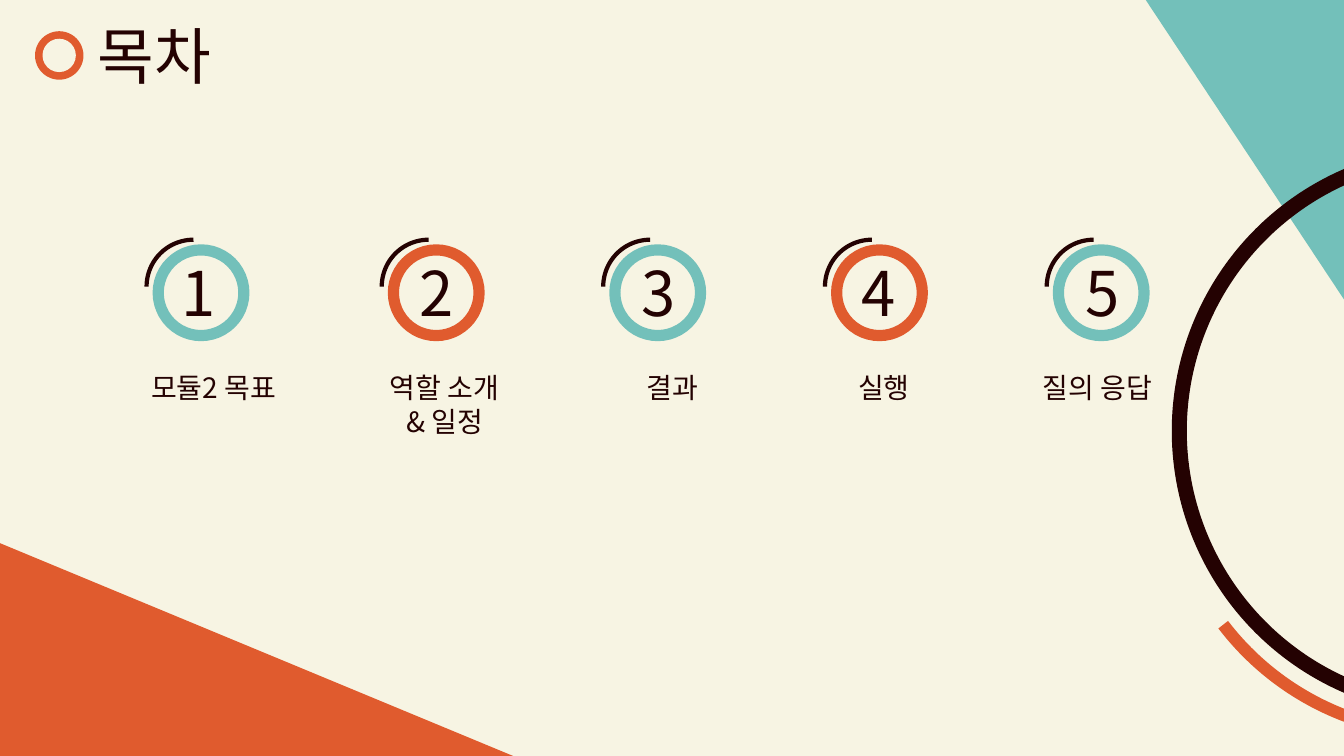
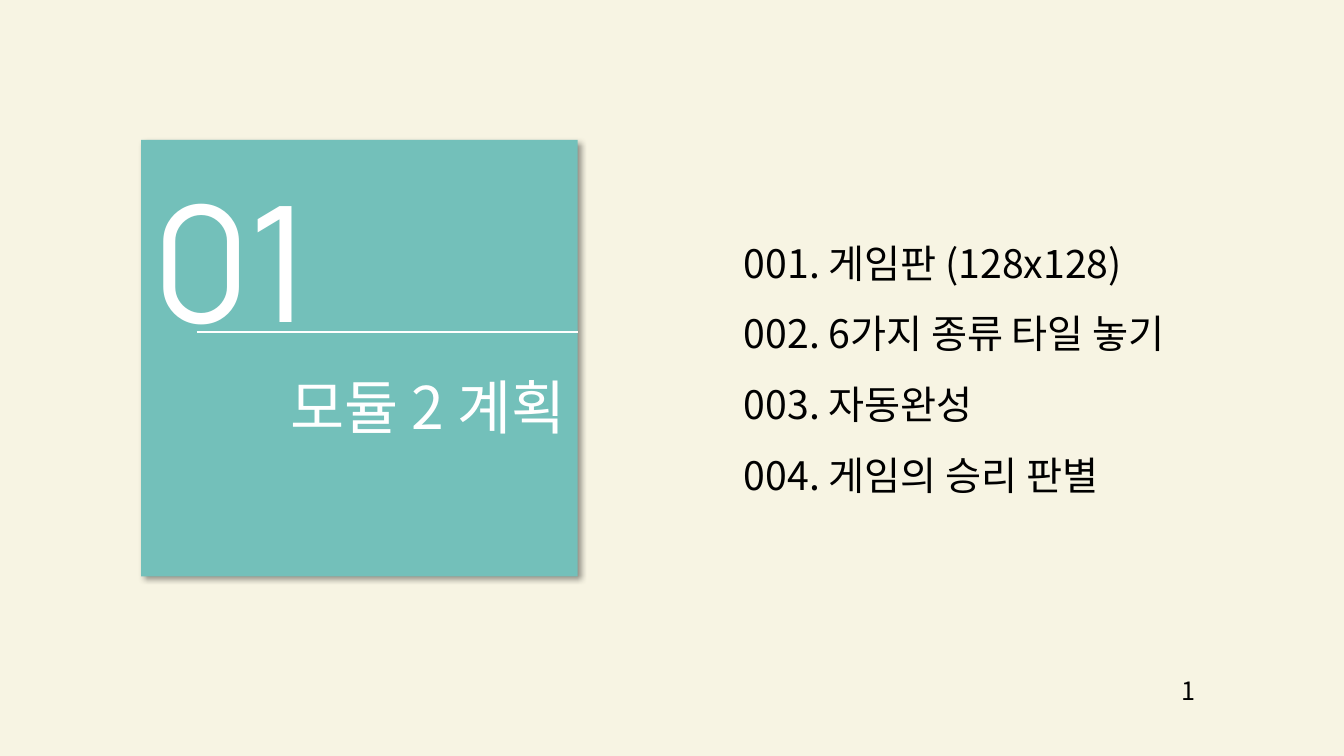
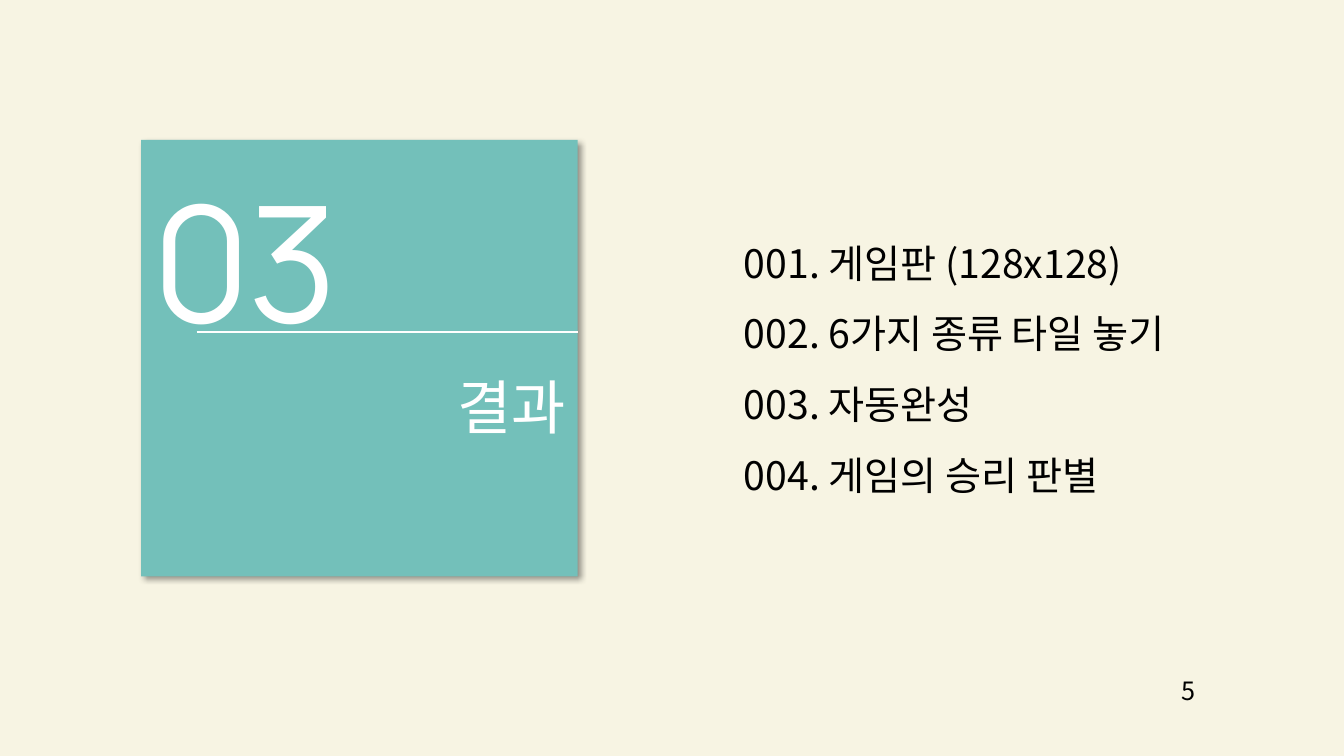
from dataclasses import dataclass

from lxml.etree import SubElement
from pptx import Presentation
from pptx.dml.color import RGBColor
from pptx.enum.shapes import MSO_AUTO_SHAPE_TYPE as Preset, MSO_CONNECTOR as Connector
from pptx.enum.text import PP_ALIGN as Align
from pptx.oxml import parse_xml
from pptx.oxml.ns import nsdecls, qn
from pptx.shapes.autoshape import Shape
from pptx.slide import Slide
from pptx.util import Pt


@dataclass(frozen=True)
class Theme:
    cream: str = "F7F4E3"
    orange: str = "E05B2E"
    teal: str = "73C0BA"
    dark: str = "240202"
    black: str = "000000"
    white: str = "FFFFFF"
    font: str = "Noto Sans CJK KR"
    number_font: str = "Manrope"
    section_number: float = 115
    heading: float = 44
    section_title: float = 42
    body: float = 28
    label: float = 20
    page_number: float = 18


@dataclass(frozen=True)
class Area:
    """A rectangle in points."""
    left: float
    top: float
    width: float
    height: float


@dataclass(frozen=True)
class AgendaItem:
    label: str
    color: str
    ring_left: float
    number_shift: float
    label_left: float
    label_width: float


@dataclass(frozen=True)
class Section:
    number: str
    title: str
    page_number: str


THEME = Theme()
PAGE_WIDTH, PAGE_HEIGHT = 960, 540
RING_TOP, RING_SIZE = 178.5, 61.2
ARC_SIZE, ARC_SHIFT = 67, 8.3

AGENDA = [
    AgendaItem("모듈2 목표", THEME.teal, 113, 0, 96.5, 112.3),
    AgendaItem("역할 소개 & 일정", THEME.orange, 281, 1.4, 264.2, 106.6),
    AgendaItem("결과", THEME.teal, 439.2, 2.2, 424, 112.3),
    AgendaItem("실행", THEME.orange, 597.6, 0.7, 581, 100.8),
    AgendaItem("질의 응답", THEME.teal, 756, 2.2, 727.2, 113.8),
]
SECTIONS = [Section("01", "모듈 2 계획", "1"), Section("03", "결과", "5")]
FEATURES = [
    "001. 게임판 (128x128)",
    "002. 6가지 종류 타일 놓기",
    "003. 자동완성",
    "004. 게임의 승리 판별",
]


def rgb(color: str) -> RGBColor:
    return RGBColor.from_string(color)


def add_preset(page: Slide, preset: Preset, area: Area, fill: str | None = None,
               line: str | None = None, weight: float = 0, rotation: float = 0,
               adjustments: tuple[float, ...] = ()) -> Shape:
    shape = page.shapes.add_shape(
        preset, Pt(area.left), Pt(area.top), Pt(area.width), Pt(area.height))
    shape.shadow.inherit = False
    shape.rotation = rotation
    for index, value in enumerate(adjustments):
        shape.adjustments[index] = value
    if fill:
        shape.fill.solid()
        shape.fill.fore_color.rgb = rgb(fill)
    else:
        shape.fill.background()
    if line:
        shape.line.color.rgb = rgb(line)
        shape.line.width = Pt(weight)
    else:
        shape.line.fill.background()
    return shape


def add_text(page: Slide, area: Area, text: str, size: float, color: str = THEME.dark,
             align: Align = Align.LEFT, font: str = THEME.font,
             line_spacing: float = 1, side_inset: float = 7.2,
             tracking: int = 0) -> None:
    """Add a text box; tracking is in hundredths of a point."""
    box = page.shapes.add_textbox(
        Pt(area.left), Pt(area.top), Pt(area.width), Pt(area.height))
    frame = box.text_frame
    frame.word_wrap = True
    frame.margin_left = frame.margin_right = Pt(side_inset)
    frame.text = text
    for para in frame.paragraphs:
        para.alignment = align
        para.line_spacing = line_spacing
        for span in para.runs:
            span.font.size = Pt(size)
            span.font.color.rgb = rgb(color)
            span.font.name = font
            properties = span.font._element
            SubElement(properties, qn("a:ea"), typeface=font)
            if tracking:
                properties.set("spc", str(tracking))


def add_drop_shadow(shape: Shape) -> None:
    effects = shape._element.spPr.find(qn("a:effectLst"))
    effects.append(parse_xml(
        f'<a:outerShdw {nsdecls("a")} blurRad="{Pt(4)}" dist="{Pt(3)}" dir="2700000" '
        'algn="tl" rotWithShape="0">'
        f'<a:srgbClr val="{THEME.black}"><a:alpha val="40000"/></a:srgbClr>'
        '</a:outerShdw>'))


def add_rule(page: Slide, left: float, right: float, top: float) -> None:
    rule = page.shapes.add_connector(
        Connector.STRAIGHT, Pt(left), Pt(top), Pt(right), Pt(top))
    rule.line.color.rgb = rgb(THEME.white)
    rule.line.width = Pt(1.5)
    SubElement(rule._element.spPr, qn("a:effectLst"))


def add_agenda_decoration(page: Slide) -> None:
    add_preset(page, Preset.ISOSCELES_TRIANGLE, Area(0, 388, 375, 155.5),
               fill=THEME.orange, adjustments=(0,))
    add_preset(page, Preset.ISOSCELES_TRIANGLE, Area(782, 36, 214.5, 142),
               fill=THEME.teal, rotation=270, adjustments=(1,))
    add_preset(page, Preset.ARC, Area(842.4, 109.4, 396.7, 396.7), line=THEME.dark,
               weight=10.75, rotation=266.4, adjustments=(122.78, 205.19))
    add_preset(page, Preset.ARC, Area(833, 127.4, 396.7, 396.7), line=THEME.orange,
               weight=8.75, rotation=257.8, adjustments=(127.46, 146.89))


def add_agenda_item(page: Slide, number: int, item: AgendaItem) -> None:
    add_preset(page, Preset.OVAL, Area(item.ring_left, RING_TOP, RING_SIZE, RING_SIZE),
               line=item.color, weight=8)
    add_preset(page, Preset.ARC,
               Area(item.ring_left - ARC_SHIFT, 171.2, ARC_SIZE, ARC_SIZE),
               line=THEME.dark, weight=3, rotation=270)
    add_text(page, Area(item.ring_left + item.number_shift, RING_TOP, 58.3, 60.5),
             str(number), THEME.heading, align=Align.CENTER)
    add_text(page, Area(item.label_left, 261.2, item.label_width, 31.7),
             item.label, THEME.label, align=Align.CENTER, side_inset=11)


def build_agenda(page: Slide) -> None:
    add_agenda_decoration(page)
    add_text(page, Area(21.6, 9.4, 177.8, 60.5), "목차", THEME.heading,
             align=Align.CENTER)
    add_preset(page, Preset.OVAL, Area(25, 22.3, 34.6, 34.6), fill=THEME.orange)
    add_preset(page, Preset.OVAL, Area(30.4, 27.7, 23.8, 23.8), fill=THEME.cream)
    for number, item in enumerate(AGENDA, start=1):
        add_agenda_item(page, number, item)


def build_section(page: Slide, section: Section) -> None:
    panel = add_preset(page, Preset.RECTANGLE, Area(100.8, 100, 311.8, 311.8),
                       fill=THEME.teal)
    add_drop_shadow(panel)
    add_text(page, Area(139, 261.4, 272.2, 58.3), section.title, THEME.section_title,
             THEME.white, Align.RIGHT)
    add_text(page, Area(101.5, 111.6, 193, 146.9), section.number,
             THEME.section_number, THEME.white, font=THEME.number_font, tracking=-100)
    add_rule(page, 140.4, 412.6, 236.9)
    add_text(page, Area(524.2, 150.5, 353.5, 211), "\n".join(FEATURES), THEME.body,
             THEME.black, line_spacing=1.5)
    add_text(page, Area(836.6, 478.8, 49, 28.8), section.page_number,
             THEME.page_number, THEME.black)


def main() -> None:
    deck = Presentation()
    deck.slide_width, deck.slide_height = Pt(PAGE_WIDTH), Pt(PAGE_HEIGHT)
    background = deck.slide_master.background.fill
    background.solid()
    background.fore_color.rgb = rgb(THEME.cream)
    blank = deck.slide_layouts[6]

    build_agenda(deck.slides.add_slide(blank))
    for section in SECTIONS:
        build_section(deck.slides.add_slide(blank), section)
    deck.save("out.pptx")


if __name__ == "__main__":
    main()
